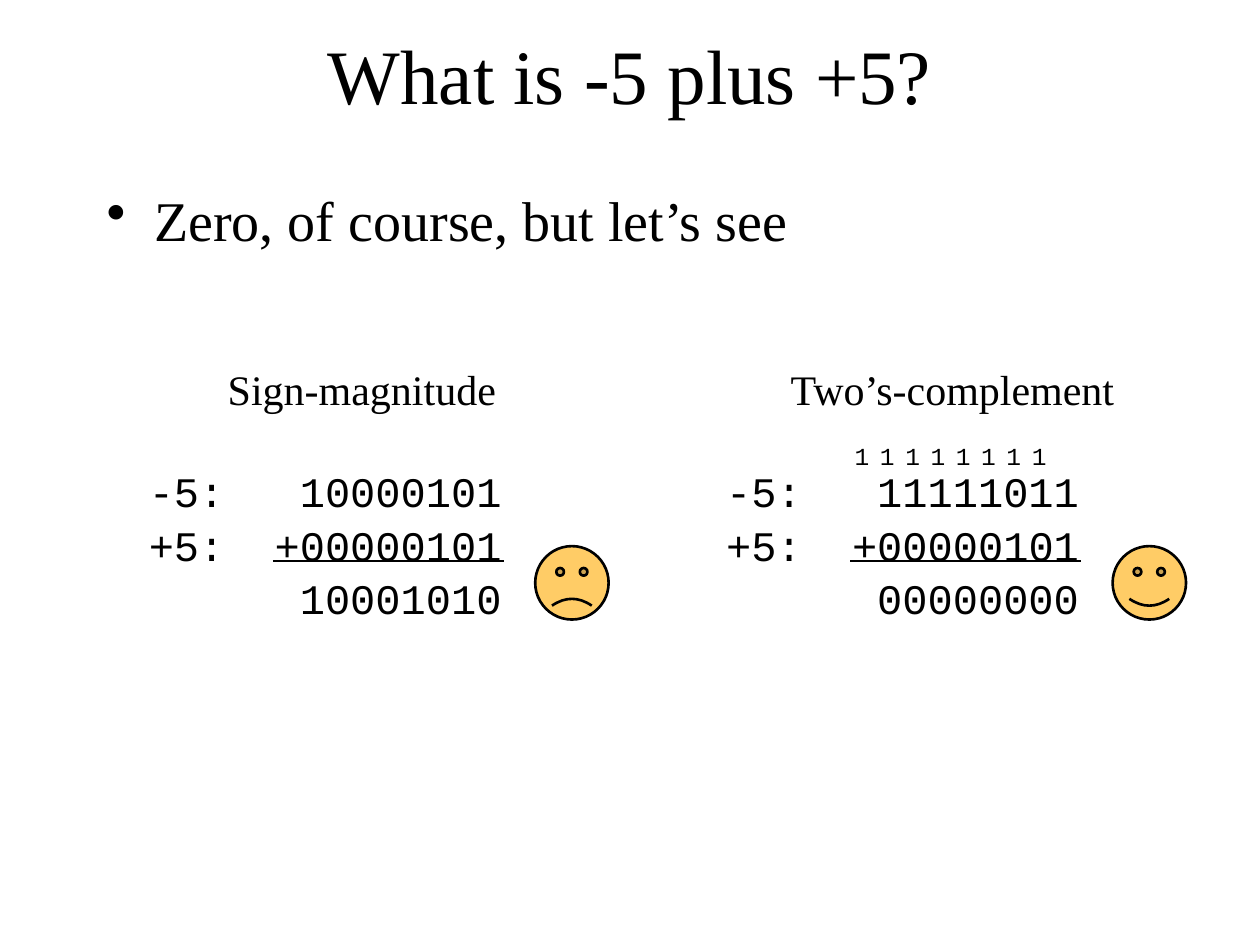
import pptx
import pptx.dml.color
import pptx.enum.shapes
import pptx.enum.text
import pptx.util
from lxml import etree
from pptx.oxml.ns import qn

Cm = pptx.util.Cm
Pt = pptx.util.Pt
ALIGN = pptx.enum.text.PP_ALIGN
ANCHOR = pptx.enum.text.MSO_ANCHOR
SERIF = "Times New Roman"
MONO = "Courier New"
INK = "000000"
FACE = "FFCC66"
SUM_RIGHT_EDGE = 7.11
CARRY_PITCH = 0.51


def color(hex_string):
    return pptx.dml.color.RGBColor.from_string(hex_string)


def add_text(shapes, box, text, size, font=SERIF, align=ALIGN.LEFT,
             anchor=ANCHOR.TOP, inset=(0.25, 0.13)):
    """Add a text box at box (left, top, width, height in cm); return its paragraph."""
    shape = shapes.add_textbox(*map(Cm, box))
    frame = shape.text_frame
    frame.word_wrap = True
    frame.vertical_anchor = anchor
    frame.margin_left = frame.margin_right = Cm(inset[0])
    frame.margin_top = frame.margin_bottom = Cm(inset[1])
    paragraph = frame.paragraphs[0]
    paragraph.text = text
    paragraph.alignment = align
    for run in paragraph.runs:
        run.font.size = Pt(size)
        run.font.name = font
        run.font.color.rgb = color(INK)
    return paragraph


def add_bullet(paragraph, indent):
    properties = paragraph._p.get_or_add_pPr()
    properties.set("marL", str(Cm(indent)))
    properties.set("indent", str(-Cm(indent)))
    etree.SubElement(properties, qn("a:buChar"), char="•")


def add_right_tab(paragraph, position):
    tabs = etree.SubElement(paragraph._p.get_or_add_pPr(), qn("a:tabLst"))
    etree.SubElement(tabs, qn("a:tab"), pos=str(Cm(position)), algn="r")


def add_sum_line(shapes, left, top, width):
    line = shapes.add_connector(pptx.enum.shapes.MSO_CONNECTOR.STRAIGHT,
                                Cm(left), Cm(top), Cm(left + width), Cm(top))
    line.line.color.rgb = color(INK)
    line.line.width = Pt(1.5)
    etree.SubElement(line._element.spPr, qn("a:effectLst"))


def add_face(shapes, left, top, size, smile):
    face = shapes.add_shape(pptx.enum.shapes.MSO_SHAPE.SMILEY_FACE,
                            Cm(left), Cm(top), Cm(size), Cm(size))
    face.adjustments[0] = smile
    face.shadow.inherit = False
    face.fill.solid()
    face.fill.fore_color.rgb = color(FACE)
    face.line.color.rgb = color(INK)
    face.line.width = Pt(1.5)


def add_addition(slide, box, heading, heading_width, rows, smile, carries=""):
    """Add one worked sum: heading, carries, aligned rows, sum line and verdict face."""
    left, top, width, height = box
    shapes = slide.shapes.add_group_shape().shapes
    add_text(shapes, (left + 1.05, top, heading_width, 1.27), heading, 24,
             align=ALIGN.CENTER)
    paragraph = add_text(shapes, (left, top + 2, width, height - 2),
                         "\v".join(rows), 24, MONO)
    paragraph.line_spacing = 1.06
    add_right_tab(paragraph, SUM_RIGHT_EDGE)
    add_sum_line(shapes, left + 2.75, top + 4.11, 4.66)
    add_face(shapes, left + 8.04, top + 3.81, 1.48, smile)
    for index, carry in enumerate(carries):
        add_text(shapes, (left + 2.84 + index * CARRY_PITCH, top + 1.69, 0.28, 0.58),
                 carry, 14, MONO, ALIGN.CENTER, inset=(0, 0))


def add_header(slide, box):
    left, top, width, _ = box
    add_text(slide.shapes, (left, top, width, 2.11), "What is -5 plus +5?", 44,
             align=ALIGN.CENTER, anchor=ANCHOR.MIDDLE)
    statement = add_text(slide.shapes, (left, top + 3.18, width, 11.43),
                         "Zero, of course, but let’s see", 32)
    add_bullet(statement, 0.96)


def main():
    presentation = pptx.Presentation()
    presentation.slide_width = Cm(25.4)
    presentation.slide_height = Cm(19.05)
    slide = presentation.slides.add_slide(presentation.slide_layouts[6])
    add_header(slide, (1.9, 0.43, 21.6, 14.61))
    add_addition(slide, (2.75, 7.2, 8.89, 5.3), "Sign-magnitude", 6.99,
                 ["-5:\t10000101", "+5:\t+00000101", "\t10001010"], -0.047)
    add_addition(slide, (14.39, 7.2, 8.89, 5.3), "Two’s-complement", 7.52,
                 ["-5:\t11111011", "+5:\t+00000101", "\t00000000"], 0.047,
                 carries="11111111")
    presentation.save("out.pptx")


if __name__ == "__main__":
    main()
